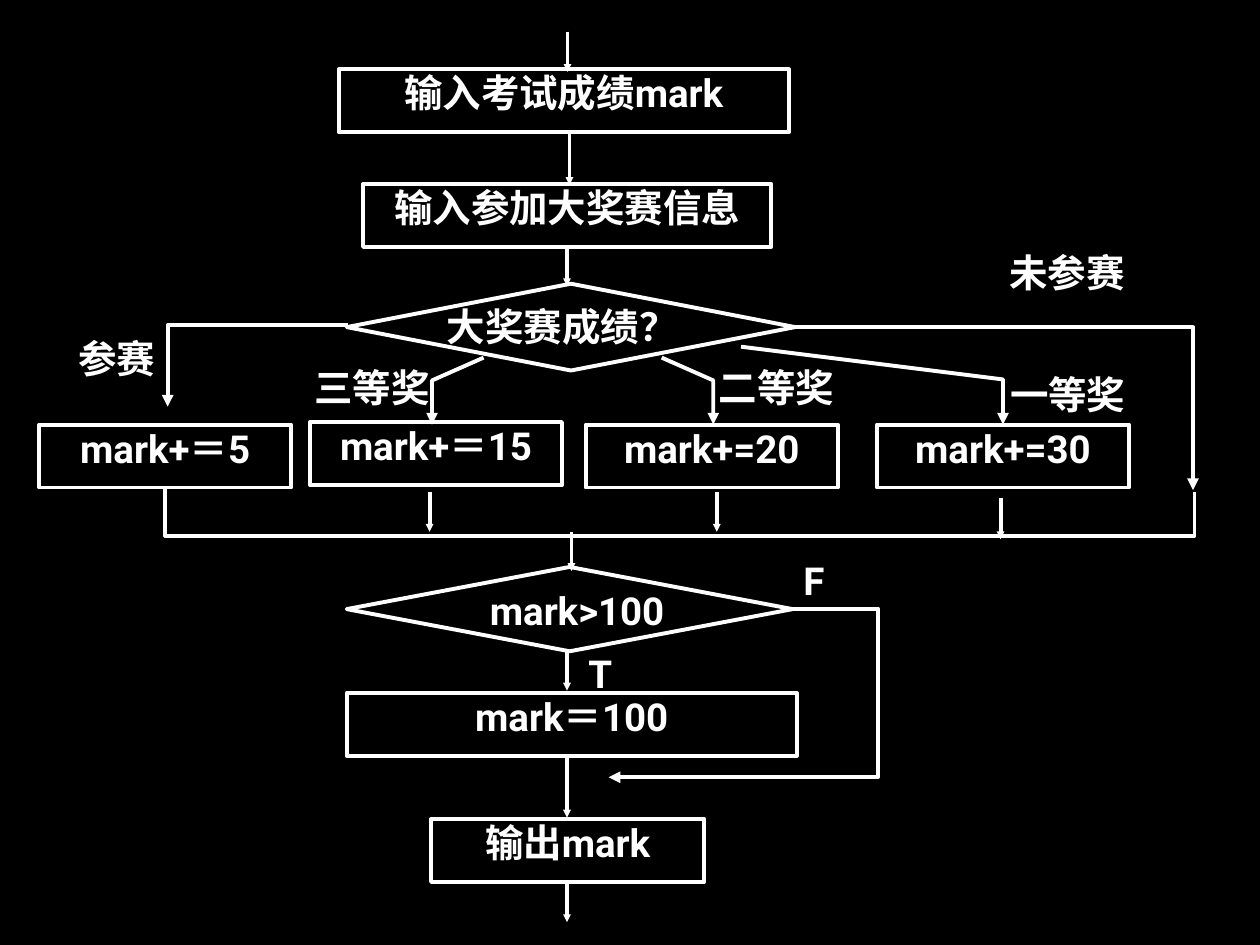
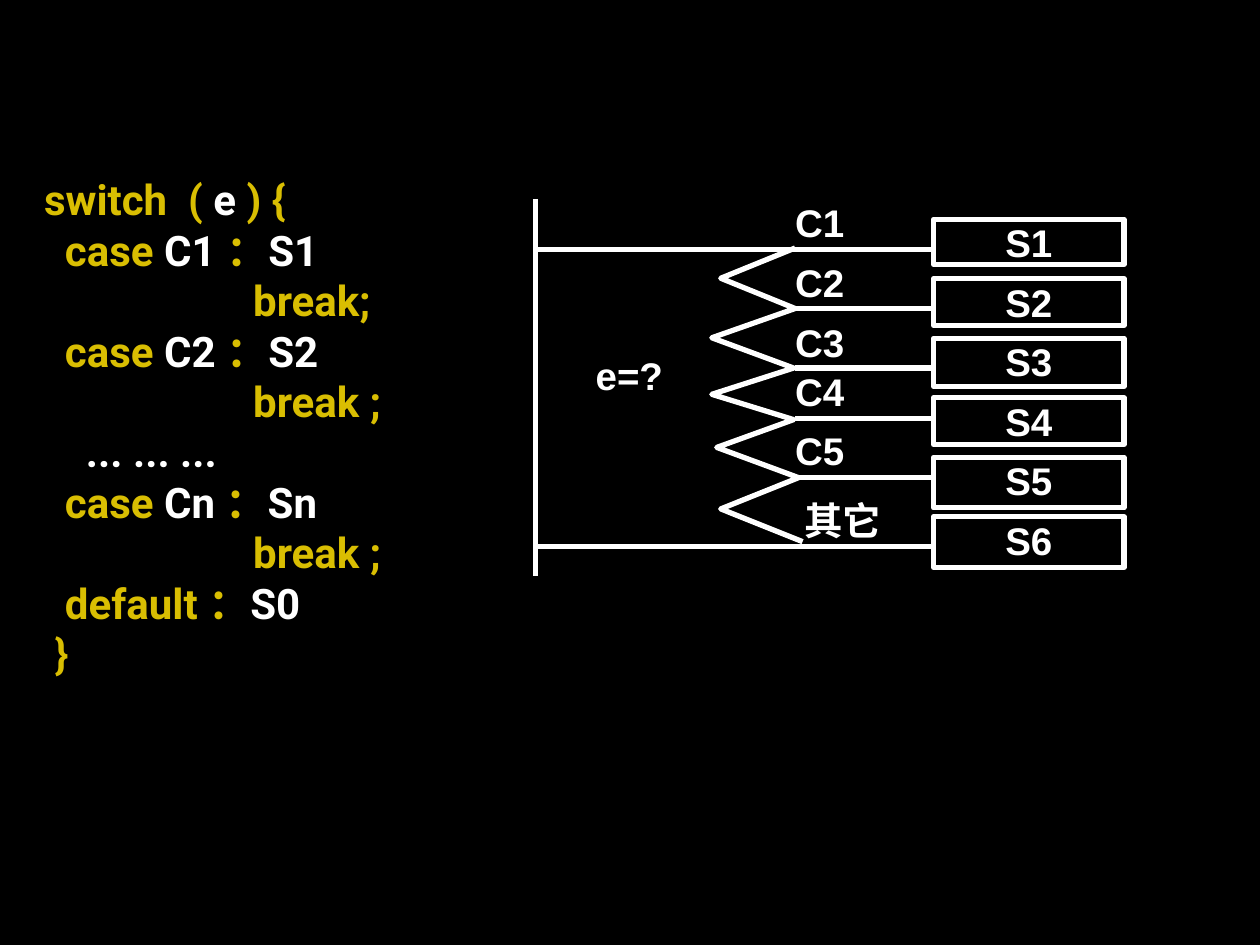
from lxml import etree
from pptx import Presentation
from pptx.dml.color import RGBColor
from pptx.enum.shapes import MSO_CONNECTOR as CONNECTOR, MSO_SHAPE as SHAPE
from pptx.enum.text import MSO_ANCHOR as ANCHOR, PP_ALIGN as ALIGN
from pptx.oxml.ns import qn
from pptx.util import Cm, Pt

COLORS = {"back": "000000", "plain": "FFFFFF", "keyword": "D9BE02"}
PLAIN = RGBColor.from_string(COLORS["plain"])


def add_text(slide, text, box, font="Roboto", align=ALIGN.CENTER, inset=0, outline=None):
    box = [Cm(length) for length in box]
    if outline:
        shape = slide.shapes.add_shape(SHAPE.RECTANGLE, *box)
        shape.shadow.inherit = False
        shape.fill.background()
        shape.line.color.rgb = PLAIN
        shape.line.width = Pt(outline)
    else:
        shape = slide.shapes.add_textbox(*box)
    frame = shape.text_frame
    frame.word_wrap = True
    frame.vertical_anchor = ANCHOR.TOP
    frame.margin_left = frame.margin_right = Cm(2 * inset)
    frame.margin_top = frame.margin_bottom = Cm(inset)
    paragraph = frame.paragraphs[0]
    paragraph.text = text
    paragraph.alignment = align
    paragraph.font.name = font
    paragraph.font.size = Pt(22)
    paragraph.font.bold = True
    paragraph.font.color.rgb = PLAIN


def add_line(slide, points, width, head=None):
    points = [(Cm(x), Cm(y)) for x, y in points]
    if len(points) == 2:
        shape = slide.shapes.add_connector(CONNECTOR.STRAIGHT, *points[0], *points[1])
    else:
        builder = slide.shapes.build_freeform(*points[0])
        builder.add_line_segments(points[1:], close=False)
        shape = builder.convert_to_shape()
        shape.fill.background()
    shape.line.color.rgb = PLAIN
    shape.line.width = Pt(width)
    properties = shape._element.spPr
    if head:
        outline = properties.find(qn("a:ln"))
        etree.SubElement(outline, qn("a:tailEnd"), type="triangle", w=head, len=head)
    etree.SubElement(properties, qn("a:effectLst"))


prs = Presentation()
prs.slide_width, prs.slide_height = Cm(25.4), Cm(19.05)
backdrop = prs.slide_master.background.fill
backdrop.solid()
backdrop.fore_color.rgb = RGBColor.from_string(COLORS["back"])
blank = prs.slide_layouts[6]

flow = prs.slides.add_slide(blank)
FLOW_WIDTH = 2.25

for step, left, top, width in [
    ("输入考试成绩mark", 6.83, 1.4, 9.07),
    ("输入参加大奖赛信息", 7.32, 3.71, 8.23),
    ("mark+＝5", 0.79, 8.56, 5.08),
    ("mark+＝15", 6.25, 8.51, 5.08),
    ("mark+=20", 11.81, 8.56, 5.08),
    ("mark+=30", 17.68, 8.56, 5.08),
    ("mark＝100", 6.99, 13.97, 9.07),
    ("输出mark", 8.69, 16.51, 5.51),
]:
    add_text(flow, step, (left, top, width, 1.27), outline=FLOW_WIDTH)

for question, top, width, height, text_left, text_top in [
    ("大奖赛成绩？", 5.72, 9.04, 1.75, 7.32, 6.1),
    ("mark>100", 11.43, 8.99, 1.7, 7.62, 11.84),
]:
    decision = flow.shapes.add_shape(SHAPE.DIAMOND, Cm(6.99), Cm(top), Cm(width), Cm(height))
    decision.shadow.inherit = False
    decision.fill.background()
    decision.line.color.rgb = PLAIN
    decision.line.width = Pt(FLOW_WIDTH)
    add_text(flow, question, (text_left, text_top, 8.03, 1.04))

for x, start, end in [
    (11.44, 0.64, 1.45),
    (11.48, 2.69, 3.73),
    (11.43, 4.93, 5.77),
    (8.66, 9.91, 10.72),
    (14.45, 9.91, 10.72),
    (20.17, 10.03, 10.87),
    (11.52, 10.72, 11.51),
    (11.43, 13.11, 13.92),
    (11.43, 15.24, 16.48),
    (11.43, 17.78, 18.59),
]:
    add_line(flow, [(x, start), (x, end)], FLOW_WIDTH, head="sm")

for branch in [
    [(7.01, 6.55), (3.38, 6.55), (3.38, 8.2)],
    [(9.75, 7.21), (8.71, 7.67), (8.71, 8.56)],
    [(13.34, 7.21), (14.38, 7.67), (14.38, 8.56)],
    [(14.94, 6.99), (20.22, 7.65), (20.22, 8.56)],
    [(15.98, 6.6), (24.05, 6.6), (24.05, 9.88)],
    [(15.85, 12.27), (17.7, 12.27), (17.7, 15.67), (12.27, 15.67)],
]:
    add_line(flow, branch, FLOW_WIDTH, head="med")
merge = [(3.33, 9.83), (3.33, 10.8), (24.08, 10.8), (24.08, 9.91)]
add_line(flow, merge, FLOW_WIDTH)

for award, left, top in [
    ("参赛", 0.64, 6.63),
    ("三等奖", 5.79, 7.21),
    ("二等奖", 13.94, 7.21),
    ("一等奖", 19.81, 7.34),
    ("未参赛", 19.8, 4.88),
]:
    add_text(flow, award, (left, top, 3.43, 1.19), inset=0.13)
add_text(flow, "F", (15.24, 11.23, 2.34, 0.94))
add_text(flow, "T", (11.86, 13.11, 1.52, 0.71), align=ALIGN.LEFT)

switch = prs.slides.add_slide(blank)
TREE_WIDTH = 3

code_lines = [
    [("switch  ( ", "keyword"), ("e", "plain"), (" ) {", "keyword")],
    [("  case ", "keyword"), ("C1 ", "plain"), ("：", "keyword"), ("S1", "plain")],
    [("                    break;", "keyword")],
    [("  case", "keyword"), (" C2 ", "plain"), ("：", "keyword"), ("S2", "plain")],
    [("                    break ;", "keyword")],
    [("    ... ... ...", "plain")],
    [("  case ", "keyword"), ("Cn ", "plain"), ("：", "keyword"), ("Sn", "plain")],
    [("                    break ;", "keyword")],
    [("  default ：", "keyword"), ("S0", "plain")],
    [(" }", "keyword")],
]
code = switch.shapes.add_textbox(Cm(0.64), Cm(3.38), Cm(12.7), Cm(10.41)).text_frame
code.word_wrap = True
for number, pieces in enumerate(code_lines):
    line = code.add_paragraph() if number else code.paragraphs[0]
    line.font.name = "Roboto"
    line.font.size = Pt(24)
    line.font.bold = True
    for text, role in pieces:
        run = line.add_run()
        run.text = text
        run.font.color.rgb = RGBColor.from_string(COLORS[role])

TRUNK_X, FORK_X, ACTION_X = 10.8, 16.03, 18.82
add_line(switch, [(TRUNK_X, 4.01), (TRUNK_X, 11.61)], TREE_WIDTH)
add_text(switch, "e=?", (12.01, 7.09, 1.91, 0.99), font="Arial", align=ALIGN.LEFT)

cases = [
    ("C1", FORK_X, 4.01, TRUNK_X, 5.03, 0.91),
    ("C2", FORK_X, 5.23, FORK_X, 6.22, 0.94),
    ("C3", FORK_X, 6.43, FORK_X, 7.42, 0.97),
    ("C4", FORK_X, 7.42, FORK_X, 8.43, 0.94),
    ("C5", FORK_X, 8.61, FORK_X, 9.63, 1.02),
    ("其它", 16.21, 10.03, TRUNK_X, 11.02, 1.02),
]
for index, (case, case_x, case_y, branch_x, branch_y, height) in enumerate(cases):
    add_text(switch, f"S{index + 1}", (ACTION_X, 4.42 + 1.2 * index, 3.84, height),
             font="Arial", outline=TREE_WIDTH)
    add_line(switch, [(ACTION_X, branch_y), (branch_x, branch_y)], TREE_WIDTH)
    add_text(switch, case, (case_x, case_y, 1.85, 0.8), font="Arial", align=ALIGN.LEFT)

zigzag = [
    (16.03, 5), (14.53, 5.61), (16.03, 6.22), (14.35, 6.81), (16, 7.42), (14.35, 7.95),
    (16, 8.46), (14.45, 9.02), (16.1, 9.63), (14.53, 10.26), (16.18, 10.92),
]
add_line(switch, zigzag, TREE_WIDTH)

prs.save("out.pptx")
